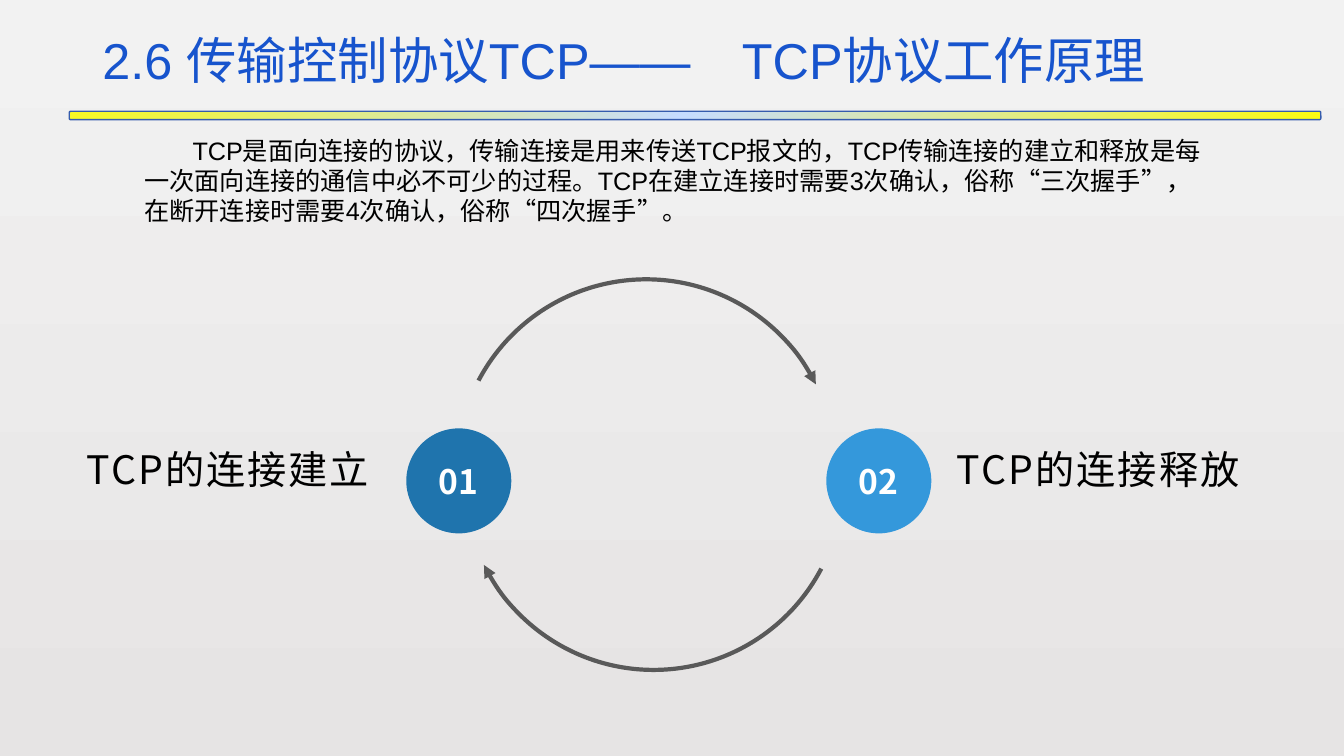
from collections import namedtuple
from dataclasses import dataclass

from lxml import etree
from pptx import Presentation
from pptx import util as u
from pptx.dml import color
from pptx.enum import shapes, text
from pptx.oxml import ns, parse_xml

PX = 9525  # EMU per px, at 96 px to the inch
Box = namedtuple("Box", "left top width height")


@dataclass(frozen=True)
class Theme:
    latin: str = "Arial"
    cjk: str = "Noto Sans CJK SC"
    title: str = "1754CD"
    ink: str = "000000"
    light: str = "FFFFFF"
    arc: str = "595959"
    setup: str = "1F74AD"
    release: str = "3498DB"
    rule_line: str = "355CAD"
    rule: tuple = ((0, "FBFB11"), (51, "C6DCFF"), (100, "F7F923"))
    backdrop: tuple = ("F2F2F2", "E6E4E4")
    title_size: int = 36
    label_size: int = 28
    number_size: int = 24
    body_size: int = 18


THEME = Theme()


def rgb(value):
    return color.RGBColor.from_string(value)


def emu(box):
    return [value * PX for value in box]


def add_child(parent, tag, **attributes):
    return etree.SubElement(parent, ns.qn(tag), attributes)


def write(frame, words, size, ink, face, bold=False, tracking=0, frame_format=None, **paragraph_format):
    """Fill a text frame with one formatted paragraph."""
    settings = {"word_wrap": True, "auto_size": text.MSO_AUTO_SIZE.NONE, **(frame_format or {})}
    for name, value in settings.items():
        setattr(frame, name, value)
    paragraph = frame.paragraphs[0]
    for name, value in paragraph_format.items():
        setattr(paragraph, name, value)
    run = paragraph.add_run()
    run.text = words
    for name, value in {"size": u.Pt(size), "name": face, "bold": bold}.items():
        setattr(run.font, name, value)
    run.font.color.rgb = rgb(ink)
    properties = run._r.get_or_add_rPr()
    properties.set("lang", "zh-CN")
    if tracking:
        properties.set("spc", str(tracking))
    add_child(properties, "a:ea", typeface=THEME.cjk)
    return paragraph


def paint_backdrop(slide):
    fill = slide.background.fill
    fill.gradient()
    fill.gradient_angle = 270
    for stop, shade, position in zip(fill.gradient_stops, THEME.backdrop, (0, 1)):
        stop.color.rgb = rgb(shade)
        stop.position = position


def add_header(slide, box):
    # Rule under the title
    rule = slide.shapes.add_shape(
        shapes.MSO_SHAPE.ROUNDED_RECTANGLE, *emu((box.left, box.top + 106, box.width, 8)))
    rule.shadow.inherit = False
    rule.line.color.rgb = rgb(THEME.rule_line)
    rule.line.width = u.Pt(1)
    stops = "".join(f'<a:gs pos="{at * 1000}"><a:srgbClr val="{shade}"/></a:gs>' for at, shade in THEME.rule)
    gradient = parse_xml(
        f'<a:gradFill {ns.nsdecls("a")} rotWithShape="1"><a:gsLst>{stops}</a:gsLst>'
        '<a:path path="circle"><a:fillToRect l="100000" t="100000"/></a:path></a:gradFill>')
    rule._element.spPr.find(ns.qn("a:prstGeom")).addnext(gradient)

    # Title
    title = slide.shapes.title
    title.left, title.top, title.width, title.height = emu((box.left + 22, box.top + 7, 1104, 84))
    heading = write(
        title.text_frame, "2.6 传输控制协议TCP——\tTCP协议工作原理", THEME.title_size, THEME.title, THEME.latin,
        frame_format={"vertical_anchor": text.MSO_ANCHOR.BOTTOM},
        alignment=text.PP_ALIGN.LEFT, line_spacing=0.9)
    tabs = add_child(heading._p.get_or_add_pPr(), "a:tabLst")
    add_child(tabs, "a:tab", pos=str(609 * PX), algn="l")


def add_summary(slide, box):
    summary = slide.shapes.add_textbox(*emu(box))
    paragraph = write(
        summary.text_frame,
        "TCP是面向连接的协议，传输连接是用来传送TCP报文的，TCP传输连接的建立和释放是每一次面向连接的通信中必不可少的过程。"
        "TCP在建立连接时需要3次确认，俗称“三次握手”，在断开连接时需要4次确认，俗称“四次握手”。",
        THEME.body_size, THEME.ink, THEME.latin)
    paragraph._p.get_or_add_pPr().set("indent", str(46 * PX))


def add_phase(slide, box, number, label, shade, label_offset, alignment):
    # Numbered disc
    disc = slide.shapes.add_shape(shapes.MSO_SHAPE.OVAL, *emu(box))
    disc.shadow.inherit = False
    disc.fill.solid()
    disc.fill.fore_color.rgb = rgb(shade)
    disc.line.fill.background()
    no_margins = {f"margin_{side}": 0 for side in ("left", "top", "right", "bottom")}
    write(disc.text_frame, number, THEME.number_size, THEME.light, THEME.cjk, bold=True,
          frame_format={"vertical_anchor": text.MSO_ANCHOR.MIDDLE, **no_margins},
          alignment=text.PP_ALIGN.CENTER)

    # Label beside the disc
    caption = slide.shapes.add_textbox(*emu((box.left + label_offset, box.top + 7, 290, 87)))
    write(caption.text_frame, label, THEME.label_size, THEME.ink, THEME.cjk, tracking=150,
          frame_format={"margin_top": 0}, alignment=alignment, line_spacing=1.2)


def add_cycle_arc(slide, box, flip):
    arc = slide.shapes.add_shape(shapes.MSO_SHAPE.ARC, *emu(box))
    arc.shadow.inherit = False
    arc.adjustments[0], arc.adjustments[1] = 150.84, 10.29
    arc.rotation = 44.9
    arc._element.spPr.xfrm.set(flip, "1")
    arc.fill.background()
    arc.line.color.rgb = rgb(THEME.arc)
    arc.line.width = u.Pt(3)
    add_child(arc.line._get_or_add_ln(), "a:headEnd", type="triangle")


def add_cycle(slide, box):
    disc_top = box.top + 142
    add_phase(slide, Box(box.left + 316, disc_top, 100, 100), "01", "TCP的连接建立",
              THEME.setup, -316, text.PP_ALIGN.RIGHT)
    add_phase(slide, Box(box.left + 716, disc_top, 100, 100), "02", "TCP的连接释放",
              THEME.release, 115, text.PP_ALIGN.LEFT)
    for left, top, flip in ((364, 0, "flipH"), (371, 11, "flipV")):
        add_cycle_arc(slide, Box(box.left + left, box.top + top, 361, 361), flip)


def main():
    deck = Presentation()
    deck.slide_width, deck.slide_height = 1280 * PX, 720 * PX
    slide = deck.slides.add_slide(deck.slide_layouts.get_by_name("Title Only"))
    paint_backdrop(slide)
    add_header(slide, Box(66, 0, 1192, 114))
    add_summary(slide, Box(128, 124, 1039, 97))
    add_cycle(slide, Box(71, 266, 1121, 372))
    deck.save("out.pptx")


if __name__ == "__main__":
    main()
